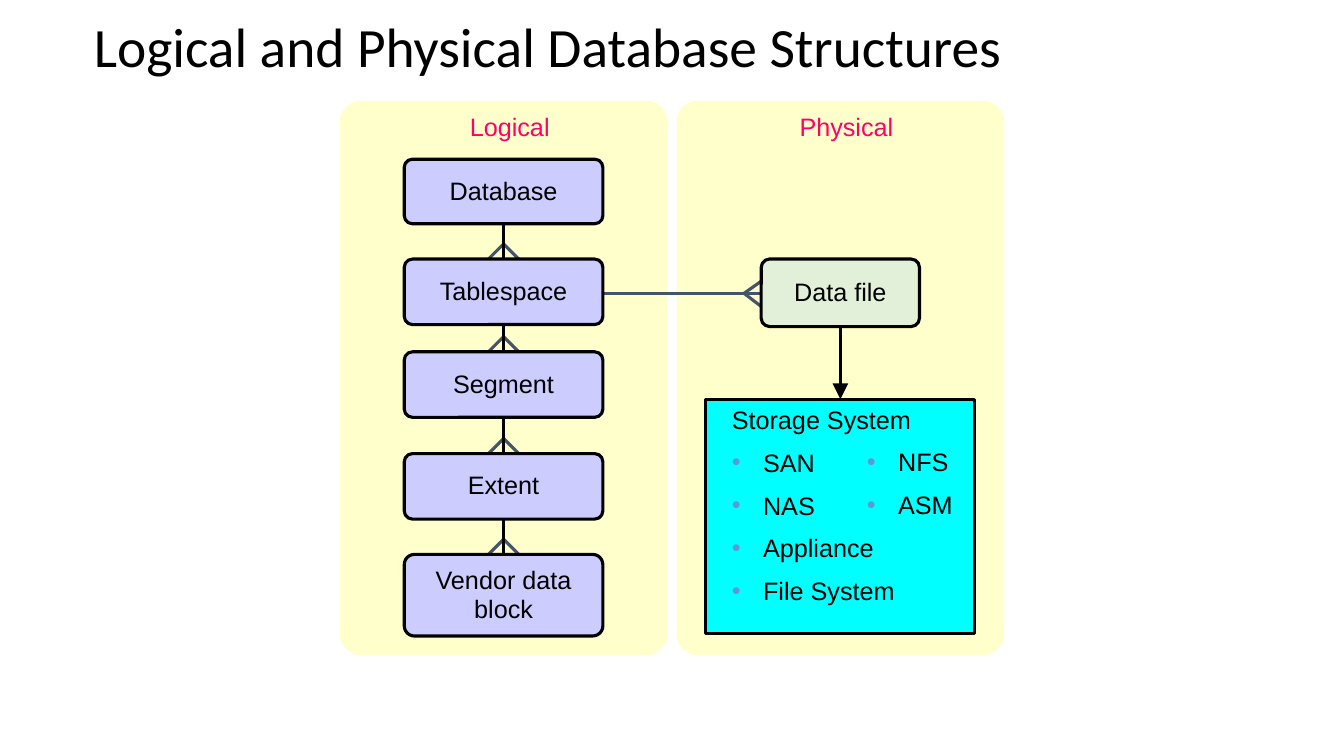
from pptx import Presentation
from pptx.dml.color import RGBColor
from pptx.enum.shapes import MSO_CONNECTOR as CONN, MSO_SHAPE as SHAPE
from pptx.enum.text import MSO_ANCHOR as ANCHOR, PP_ALIGN as ALIGN
from pptx.oxml.ns import qn
from pptx.util import Inches, Pt
from lxml.etree import SubElement

BLACK, SLATE = "000000", "44546A"
PANEL_TOP, PANEL_W, PANEL_H = 1, 3.25, 5.5
LOGICAL_X, PHYSICAL_X = 3.37, 6.71
LEVELS = [("Database", 1.58, 0.64), ("Tablespace", 2.57, 0.65),
          ("Segment", 3.49, 0.65), ("Extent", 4.5, 0.65),
          ("Vendor data\vblock", 5.5, 0.81)]


def color(value):
    return RGBColor.from_string(value)


def style_text(p, size=18, fill=BLACK, font="Arial"):
    for r in p.runs:
        r.font.size = Pt(size)
        r.font.name = font
        r.font.color.rgb = color(fill)


def add_box(s, kind, x, y, w, h, fill, line=None, radius=None):
    sp = s.shapes.add_shape(kind, Inches(x), Inches(y), Inches(w), Inches(h))
    sp.shadow.inherit = False
    sp.fill.solid()
    sp.fill.fore_color.rgb = color(fill)
    if line:
        sp.line.color.rgb = color(line)
        sp.line.width = Pt(2.25)
    else:
        sp.line.fill.background()
    if radius:
        sp.adjustments[0] = radius
    return sp


def add_node(s, text, x, y, w, h, fill):
    sp = add_box(s, SHAPE.ROUNDED_RECTANGLE, x, y, w, h, fill, BLACK, 0.125)
    tf = sp.text_frame
    tf.word_wrap = False
    tf.vertical_anchor = ANCHOR.MIDDLE
    tf.margin_left = tf.margin_right = Inches(0.05)
    p = tf.paragraphs[0]
    p.text = text
    p.alignment = ALIGN.CENTER
    p.line_spacing = 0.95
    style_text(p)


def add_line(s, x1, y1, x2, y2, line, arrow=False):
    c = s.shapes.add_connector(CONN.STRAIGHT, Inches(x1), Inches(y1),
                               Inches(x2), Inches(y2))
    c.line.color.rgb = color(line)
    c.line.width = Pt(2.25)
    if arrow:
        SubElement(c.line._get_or_add_ln(), qn("a:tailEnd"),
                   type="triangle", w="lg", len="lg")
    SubElement(c._element.spPr, qn("a:effectLst"))


def add_crow_foot(s, points):
    start, *rest = [(Inches(x), Inches(y)) for x, y in points]
    builder = s.shapes.build_freeform(*start)
    builder.add_line_segments(rest, close=False)
    sp = builder.convert_to_shape()
    sp.shadow.inherit = False
    sp.fill.background()
    sp.line.color.rgb = color(SLATE)
    sp.line.width = Pt(2.25)


def add_text(s, x, y, w, h):
    tf = s.shapes.add_textbox(Inches(x), Inches(y), Inches(w), Inches(h)).text_frame
    tf.word_wrap = True
    return tf


def add_bullet(p):
    pPr = p._p.get_or_add_pPr()
    pPr.set("marL", str(Inches(0.31)))
    pPr.set("indent", str(-Inches(0.31)))
    SubElement(SubElement(pPr, qn("a:buClr")), qn("a:srgbClr"), val="5B9BD5")
    SubElement(pPr, qn("a:buFont"), typeface="Arial")
    SubElement(pPr, qn("a:buChar"), char="•")


def add_list(s, x, y, w, h, items, heading=None):
    tf = add_text(s, x, y, w, h)
    lines = [heading] + items if heading else items
    for i, line in enumerate(lines):
        p = tf.add_paragraph() if i else tf.paragraphs[0]
        p.text = line
        p.space_before = Pt(9 if i else 0)
        style_text(p)
        if line != heading:
            add_bullet(p)


def add_title(s, x, y, w, h):
    title = s.shapes.title
    title.left, title.top, title.width, title.height = map(Inches, (x, y, w, h))
    tf = title.text_frame
    tf.text = "Logical and Physical Database Structures"
    tf.vertical_anchor = ANCHOR.MIDDLE
    p = tf.paragraphs[0]
    p.alignment = ALIGN.LEFT
    p.line_spacing = 0.9
    style_text(p, 39.6, font="Calibri")


def add_panel(s, x, y, w, h, label):
    add_box(s, SHAPE.ROUNDED_RECTANGLE, x, y, w, h, "FFFFCC", radius=0.064)
    tf = add_text(s, x + 0.06, y + 0.1, w, 0.36)
    p = tf.paragraphs[0]
    p.text = label
    p.alignment = ALIGN.CENTER
    p.line_spacing = 0.85
    style_text(p, fill="FF0066")


def add_logical(s, x, w):
    center, node_w = x + w / 2, 1.97
    for _, top, _ in LEVELS[1:]:
        tip = top - 0.15
        add_crow_foot(s, [(center - 0.25, tip + 0.25), (center, tip),
                          (center + 0.25, tip + 0.25)])
    add_line(s, center, 1.65, center, 5.9, BLACK)
    for text, top, height in LEVELS:
        add_node(s, text, center - node_w / 2, top, node_w, height, "CCCCFF")


def add_physical(s, x, y, w):
    center = x + w / 2
    file_x, file_y = x + 0.84, y + 1.57
    foot_y, store_y = file_y + 0.34, y + 2.96
    add_crow_foot(s, [(file_x, foot_y - 0.12), (file_x - 0.17, foot_y),
                      (file_x, foot_y + 0.13)])
    add_node(s, "Data file", file_x, file_y, 1.57, 0.67, "E2F0D9")
    add_line(s, center, file_y + 0.68, center, store_y, BLACK, arrow=True)
    add_box(s, SHAPE.RECTANGLE, x + 0.29, store_y, 2.67, 2.33, "00FFFF", BLACK)
    add_list(s, x + 0.45, store_y, 2.42, 2.21,
             ["SAN", "NAS", "Appliance", "File System"], "Storage System")
    add_list(s, x + 1.79, store_y + 0.42, 1.17, 0.86, ["NFS", "ASM"])


def main():
    prs = Presentation()
    prs.slide_width, prs.slide_height = Inches(13.33), Inches(7.5)
    s = prs.slides.add_slide(prs.slide_layouts[5])
    add_title(s, 0.83, 0.17, 11.17, 0.64)
    add_panel(s, PHYSICAL_X, PANEL_TOP, PANEL_W, PANEL_H, "Physical")
    add_panel(s, LOGICAL_X, PANEL_TOP, PANEL_W, PANEL_H, "Logical")
    add_line(s, 4.54, 2.91, 7.79, 2.91, SLATE)
    add_logical(s, LOGICAL_X, PANEL_W)
    add_physical(s, PHYSICAL_X, PANEL_TOP, PANEL_W)
    prs.save("out.pptx")


if __name__ == "__main__":
    main()
